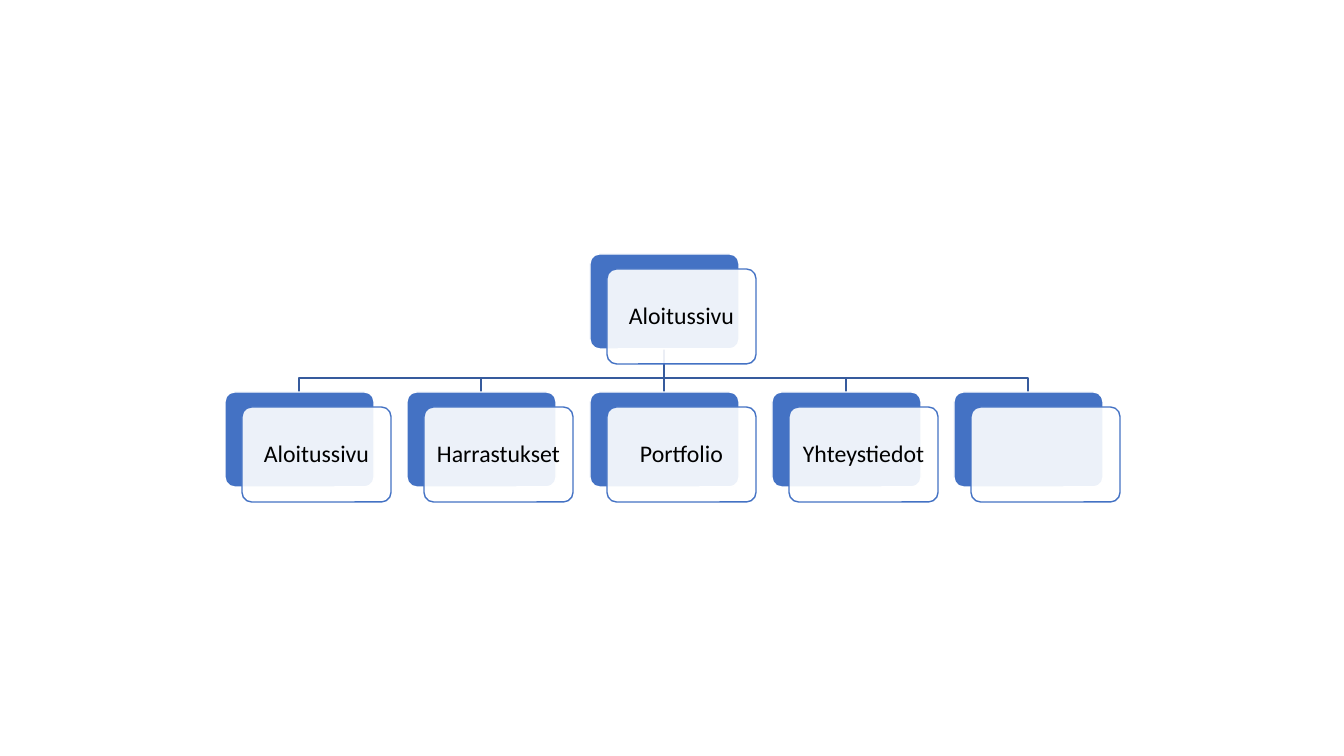
from lxml.etree import SubElement
from pptx import Presentation
from pptx.dml.color import RGBColor
from pptx.enum.shapes import MSO_CONNECTOR as CONNECTOR, MSO_SHAPE as SHAPE
from pptx.enum.text import MSO_ANCHOR as ANCHOR, PP_ALIGN as ALIGN
from pptx.oxml.ns import qn
from pptx.util import Emu, Pt

EMU_PER_PIXEL = 914400 / 100.8
BLUE = RGBColor(0x44, 0x72, 0xC4)
DARK_BLUE = RGBColor(0x36, 0x5B, 0x9D)
WHITE = RGBColor(0xFF, 0xFF, 0xFF)
BLACK = RGBColor(0x00, 0x00, 0x00)

CARD_WIDTH, CARD_HEIGHT = 149, 95
FRONT_SHIFT_X, FRONT_SHIFT_Y = 17, 15
ROOT_TOP, BRANCH_Y, PAGES_TOP = 254, 378, 392
FIRST_LEFT, LAST_LEFT = 225, 954
ROOT = "Aloitussivu"
PAGES = ["Aloitussivu", "Harrastukset", "Portfolio", "Yhteystiedot", ""]

INSET = 7
FRAME_FORMAT = {"word_wrap": True, "vertical_anchor": ANCHOR.MIDDLE}
PARAGRAPH_FORMAT = {"alignment": ALIGN.CENTER, "line_spacing": 0.9}
FONT_FORMAT = {"name": "Calibri", "size": Pt(17)}


def px(pixels):
    """Turn pixels into EMU."""
    return Emu(round(pixels * EMU_PER_PIXEL))


def set_format(target, values):
    """Set every attribute listed in values on target."""
    for name, value in values.items():
        setattr(target, name, value)


def set_line(shape, color):
    """Give the shape a one-point line."""
    shape.line.color.rgb = color
    shape.line.width = Pt(1)


def add_branch(shapes, root_x, page_x):
    """Draw the line from the root card down to one page card."""
    start_y = ROOT_TOP + CARD_HEIGHT
    if page_x == root_x:
        ends = map(px, (root_x, start_y, page_x, PAGES_TOP))
        branch = shapes.add_connector(CONNECTOR.STRAIGHT, *ends)
        SubElement(branch.element.spPr, qn("a:effectLst"))
    else:
        builder = shapes.build_freeform(px(root_x), px(start_y))
        corners = [(root_x, BRANCH_Y), (page_x, BRANCH_Y), (page_x, PAGES_TOP)]
        builder.add_line_segments([(px(x), px(y)) for x, y in corners], close=False)
        branch = builder.convert_to_shape()
        branch.fill.background()
        branch.shadow.inherit = False
    set_line(branch, DARK_BLUE)


def add_panel(shapes, left, top, fill, line):
    """Draw one rounded rectangle of a card and return it."""
    box = map(px, (left, top, CARD_WIDTH, CARD_HEIGHT))
    panel = shapes.add_shape(SHAPE.ROUNDED_RECTANGLE, *box)
    panel.adjustments[0] = 0.1
    panel.shadow.inherit = False
    panel.fill.solid()
    panel.fill.fore_color.rgb = fill
    set_line(panel, line)
    return panel


def set_opacity(shape, percent):
    """Make the solid fill of the shape partly transparent."""
    color = shape.element.spPr.find(qn("a:solidFill")).find(qn("a:srgbClr"))
    SubElement(color, qn("a:alpha")).set("val", str(percent * 1000))


def write_label(shape, text):
    """Write centred text in the shape."""
    frame = shape.text_frame
    set_format(frame, FRAME_FORMAT)
    for side in ("left", "top", "right", "bottom"):
        setattr(frame, f"margin_{side}", px(INSET))
    paragraph = frame.paragraphs[0]
    set_format(paragraph, PARAGRAPH_FORMAT)
    run = paragraph.add_run()
    run.text = text
    set_format(run.font, FONT_FORMAT)
    run.font.color.rgb = BLACK


def add_card(shapes, left, top, text):
    """Draw a blue back panel and a translucent front panel with its label."""
    add_panel(shapes, left, top, BLUE, WHITE)
    front = add_panel(shapes, left + FRONT_SHIFT_X, top + FRONT_SHIFT_Y, WHITE, BLUE)
    set_opacity(front, 90)
    if text:
        write_label(front, text)


def main():
    """Build the site map slide."""
    presentation = Presentation()
    presentation.slide_width, presentation.slide_height = px(1344), px(756)
    slide = presentation.slides.add_slide(presentation.slide_layouts[6])
    shapes = slide.shapes.add_group_shape().shapes

    pitch = (LAST_LEFT - FIRST_LEFT) / (len(PAGES) - 1)
    page_lefts = [round(FIRST_LEFT + pitch * index) for index in range(len(PAGES))]
    root_left = page_lefts[len(PAGES) // 2]
    half_card = CARD_WIDTH // 2

    for left in reversed(page_lefts):
        add_branch(shapes, root_left + half_card, left + half_card)
    add_card(shapes, root_left, ROOT_TOP, ROOT)
    for left, text in zip(page_lefts, PAGES):
        add_card(shapes, left, PAGES_TOP, text)

    presentation.save("out.pptx")


main()
